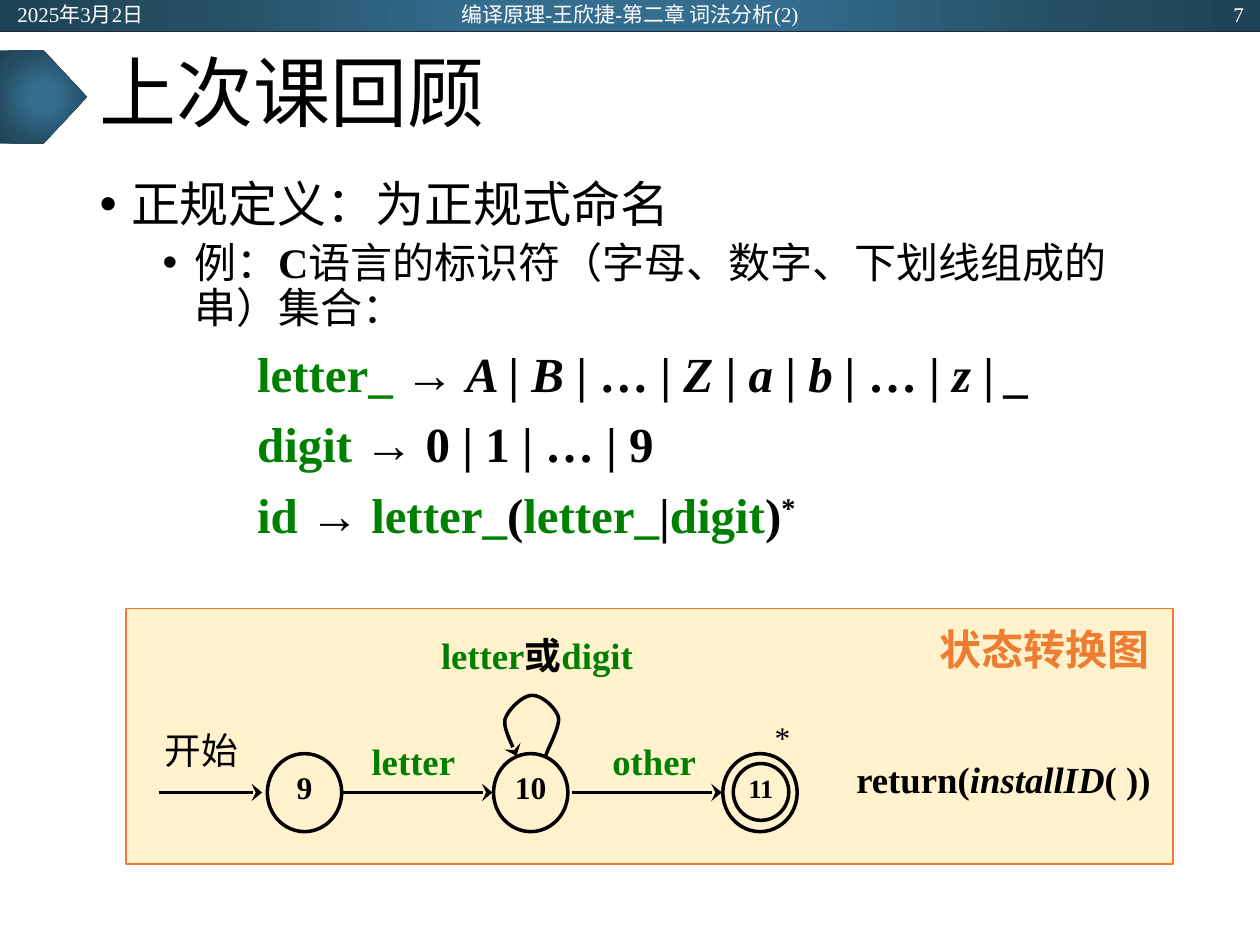
from pptx import Presentation
from pptx.dml.color import RGBColor
from pptx.enum.shapes import MSO_CONNECTOR, MSO_SHAPE
from pptx.enum.text import MSO_ANCHOR, MSO_AUTO_SIZE, PP_ALIGN
from pptx.oxml import parse_xml
from pptx.oxml.ns import nsdecls
from pptx.util import Inches, Pt

RECT, OVAL, PLATE = MSO_SHAPE.RECTANGLE, MSO_SHAPE.OVAL, MSO_SHAPE.PENTAGON
LINE = MSO_CONNECTOR.STRAIGHT
LEFT, MID, RIGHT = PP_ALIGN.LEFT, PP_ALIGN.CENTER, PP_ALIGN.RIGHT
TOP, CENTER = MSO_ANCHOR.TOP, MSO_ANCHOR.MIDDLE
FIXED = MSO_AUTO_SIZE.NONE

BLACK = RGBColor(0, 0, 0)
WHITE = RGBColor(255, 255, 255)
GREEN = RGBColor(0, 128, 0)
ORANGE = RGBColor(0xED, 0x7D, 0x31)
CREAM = RGBColor(0xFF, 0xF2, 0xCC)
NAVY = RGBColor(0x22, 0x2A, 0x35)
STOPS = ((0, "346D8E"), (23, "346D8E"), (69, "254E64"), (97, "204457"))

FACE = "Times New Roman"
WIDE, HIGH = 10, 7.5
PLAIN = {"bold": False}
BOLD = {"bold": True}
SLANT = {"bold": True, "italic": True}
NAME = {"bold": True, "color": GREEN}
STAR = {"bold": True, "base": "30000"}
THIN = (0.04, 0.02, 0.04, 0.02)


def put(item, form):
    for key, val in form.items():
        setattr(item, key, val)


def part(box, x, y, w=0, h=0):
    left, top, wide, high = box
    return (left + wide * x / 100, top + high * y / 100,
            wide * w / 100, high * h / 100)


def emu(box):
    return [Inches(val) for val in box]


def write(para, runs, size, color=BLACK):
    for text, style in runs:
        form = dict(style)
        tint, base = form.pop("color", color), form.pop("base", None)
        run = para.add_run()
        run.text = text
        put(run.font, {"name": FACE, "size": Pt(size), **form})
        run.font.color.rgb = tint
        if base:
            run.font._element.set("baseline", base)


def fit(frame, pad=(0.1, 0.05, 0.1, 0.05), anchor=TOP, wrap=True):
    sides = ("margin_left", "margin_top", "margin_right", "margin_bottom")
    put(frame, {"word_wrap": wrap, "auto_size": FIXED, "vertical_anchor": anchor})
    put(frame, dict(zip(sides, emu(pad))))


def label(shapes, box, runs, size, color=BLACK, align=MID, **form):
    frame = shapes.add_textbox(*emu(box)).text_frame
    fit(frame, **form)
    frame.paragraphs[0].alignment = align
    write(frame.paragraphs[0], runs, size, color)


def shade(shapes, kind, box):
    shape = shapes.add_shape(kind, *emu(box))
    shape.shadow.inherit = False
    shape.line.fill.background()
    shape.fill.background()
    stops = "".join(f'<a:gs pos="{pos * 1000}"><a:srgbClr val="{tint}"/></a:gs>'
                    for pos, tint in STOPS)
    grad = parse_xml(
        f'<a:gradFill {nsdecls("a")} rotWithShape="1"><a:gsLst>{stops}</a:gsLst>'
        '<a:path path="circle"><a:fillToRect l="50000" t="50000" r="50000" '
        'b="50000"/></a:path></a:gradFill>')
    props = shape._element.spPr
    props.replace(props.find("{*}noFill"), grad)


def pen(item, color, width, head=False):
    item.line.color.rgb = color
    item.line.width = Pt(width)
    if head:
        item.line._get_or_add_ln().append(
            parse_xml(f'<a:tailEnd {nsdecls("a")} type="stealth" w="lg"/>'))


def link(shapes, start, end, color, width, head=False):
    line = shapes.add_connector(LINE, *emu(start[:2] + end[:2]))
    pen(line, color, width, head)
    line._element.spPr.append(parse_xml(f'<a:effectLst {nsdecls("a")}/>'))


def node(shapes, box, text="", size=18, pad=(0.02, 0.02, 0.02, 0.04)):
    ring = shapes.add_shape(OVAL, *emu(box))
    ring.shadow.inherit = False
    ring.fill.background()
    pen(ring, BLACK, 2)
    if text:
        fit(ring.text_frame, pad)
        para = ring.text_frame.paragraphs[0]
        para.alignment = MID
        write(para, [(text, BOLD)], size)


def banner(shapes, box):
    shade(shapes, RECT, box)
    link(shapes, part(box, 0, 100), part(box, 100, 100), NAVY, 0.5)
    for x, w, text, align in ((0.4, 22.5, "2025年3月2日", LEFT),
                              (33.1, 33.8, "编译原理-王欣捷-第二章 词法分析(2)", MID),
                              (77.2, 22.5, "7", RIGHT)):
        label(shapes, part(box, x, 4, w, 80), [(text, PLAIN)], 12, WHITE,
              align, anchor=CENTER)


def place(holder, box):
    put(holder, dict(zip(("left", "top", "width", "height"), emu(box))))


def heading(holder, box):
    place(holder, box)
    fit(holder.text_frame, anchor=CENTER)
    para = holder.text_frame.paragraphs[0]
    put(para, {"alignment": LEFT, "line_spacing": 0.9})
    write(para, [("上次课回顾", PLAIN)], 44)


def content(holder, box):
    place(holder, box)
    frame = holder.text_frame
    fit(frame)
    rows = (
        (0, 0.25, 28, 0, [("正规定义：为正规式命名", PLAIN)]),
        (1, 0.75, 24, 5, [("例：", PLAIN), ("C", BOLD),
                          ("语言的标识符（字母、数字、下划线组成的串）集合：", PLAIN)]),
        (0, 1.25, 28, 10, [("letter_ ", NAME), ("→ ", BOLD), ("A ", SLANT),
                           ("| ", BOLD), ("B", SLANT), (" | … | ", BOLD),
                           ("Z ", SLANT), ("| ", BOLD), ("a ", SLANT),
                           ("| ", BOLD), ("b | ", SLANT), ("… | ", BOLD),
                           ("z | _", SLANT)]),
        (0, 1.25, 28, 10, [("digit ", NAME), ("→ 0 | 1 | … | 9", BOLD)]),
        (0, 1.25, 28, 10, [("id ", NAME), ("→ ", BOLD), ("letter_", NAME),
                           ("(", BOLD), ("letter_", NAME), ("|", BOLD),
                           ("digit", NAME), (")", BOLD), ("*", STAR)]),
    )
    for num, (level, left, size, gap, runs) in enumerate(rows):
        para = frame.add_paragraph() if num else frame.paragraphs[0]
        mark = left < 1
        props = para._p.get_or_add_pPr()
        props.set("marL", str(Inches(left)))
        props.set("indent", str(Inches(-0.25 if mark else 0)))
        if mark:
            props.append(parse_xml(f'<a:buFont {nsdecls("a")} typeface="Arial"/>'))
        bullet = 'buChar {} char="•"' if mark else "buNone {}"
        props.append(parse_xml(f'<a:{bullet.format(nsdecls("a"))}/>'))
        put(para, {"level": level, "alignment": LEFT, "line_spacing": 0.9,
                   "space_before": Pt(gap), "space_after": Pt(0)})
        write(para, runs, size)


def curve(ends, steps=12):
    for num in range(1, steps + 1):
        t = num / steps
        rates = ((1 - t) ** 3, 3 * t * (1 - t) ** 2, 3 * t * t * (1 - t), t ** 3)
        yield tuple(sum(r * p[axis] for r, p in zip(rates, ends))
                    for axis in (0, 1))


def loop(shapes, box):
    knots = [emu(part(box, x, y)[:2]) for x, y in (
        (40.1, 57.6), (40.2, 55.2), (41.5, 46.3), (41.3, 42.4), (41, 38.4),
        (39.6, 33.5), (38.7, 34), (37.9, 34), (36.5, 39.4), (36.2, 43.3),
        (36, 47.3), (37.1, 54.7), (37.3, 57.6))]
    draw = shapes.build_freeform(*knots[0])
    dots = [dot for pos in range(0, 12, 3) for dot in curve(knots[pos:pos + 4])]
    draw.add_line_segments(dots, close=False)
    shape = draw.convert_to_shape()
    shape.shadow.inherit = False
    shape.fill.background()
    pen(shape, BLACK, 2, True)


def diagram(shapes, box):
    panel = shapes.add_shape(RECT, *emu(box))
    panel.shadow.inherit = False
    panel.fill.solid()
    panel.fill.fore_color.rgb = CREAM
    pen(panel, ORANGE, 1)
    for x, text in ((13.5, "9"), (35.1, "10"), (57, "")):
        node(shapes, part(box, x, 56.7, 7.1, 30.5), text)
    node(shapes, part(box, 58, 60.6, 5.3, 22.2), "11", 15, (0.01, 0, 0.01, 0))
    for start, end in ((3.2, 13), (20.7, 35), (42.6, 56.9)):
        link(shapes, part(box, start, 71.9), part(box, end, 71.9), BLACK, 2, True)
    loop(shapes, box)
    for spot, runs, size in (
            ((1.4, 45.8, 11.6, 23.2), [("开始", PLAIN)], 21),
            ((21.5, 49.8, 11.9, 22.2), [("letter", NAME)], 21),
            ((44.5, 49.8, 11.9, 26.1), [("other", NAME)], 21),
            ((60.9, 41.9, 3.6, 15.3), [("*", PLAIN)], 18),
            ((24.7, 8.4, 29.1, 29.1),
             [("letter", NAME), ("或", BOLD), ("digit", NAME)], 21),
            ((65.5, 57.1, 36.6, 22.7),
             [("return(", BOLD), ("installID", SLANT), ("( ))", BOLD)], 21)):
        label(shapes, part(box, *spot), runs, size, pad=THIN)
    label(shapes, part(box, 76.5, 3.4, 22.6, 24.6), [("状态转换图", BOLD)], 24,
          ORANGE, LEFT, wrap=False)


def main():
    deck = Presentation()
    deck.slide_width, deck.slide_height = Inches(WIDE), Inches(HIGH)
    slide = deck.slides.add_slide(deck.slide_layouts[1])
    page = (0, 0, WIDE, HIGH)
    banner(slide.shapes, part(page, 0, 0, 100, 3.33))
    shade(slide.shapes, PLATE, part(page, 0, 5.33, 6.9, 9.87))
    heading(slide.shapes.title, part(page, 6.9, 3.33, 86.2, 13.87))
    content(slide.placeholders[1], part(page, 6.9, 18.4, 86.2, 71.73))
    diagram(slide.shapes.add_group_shape().shapes, part(page, 10, 64.4, 83.1, 27.07))
    deck.save("out.pptx")


if __name__ == "__main__":
    main()
